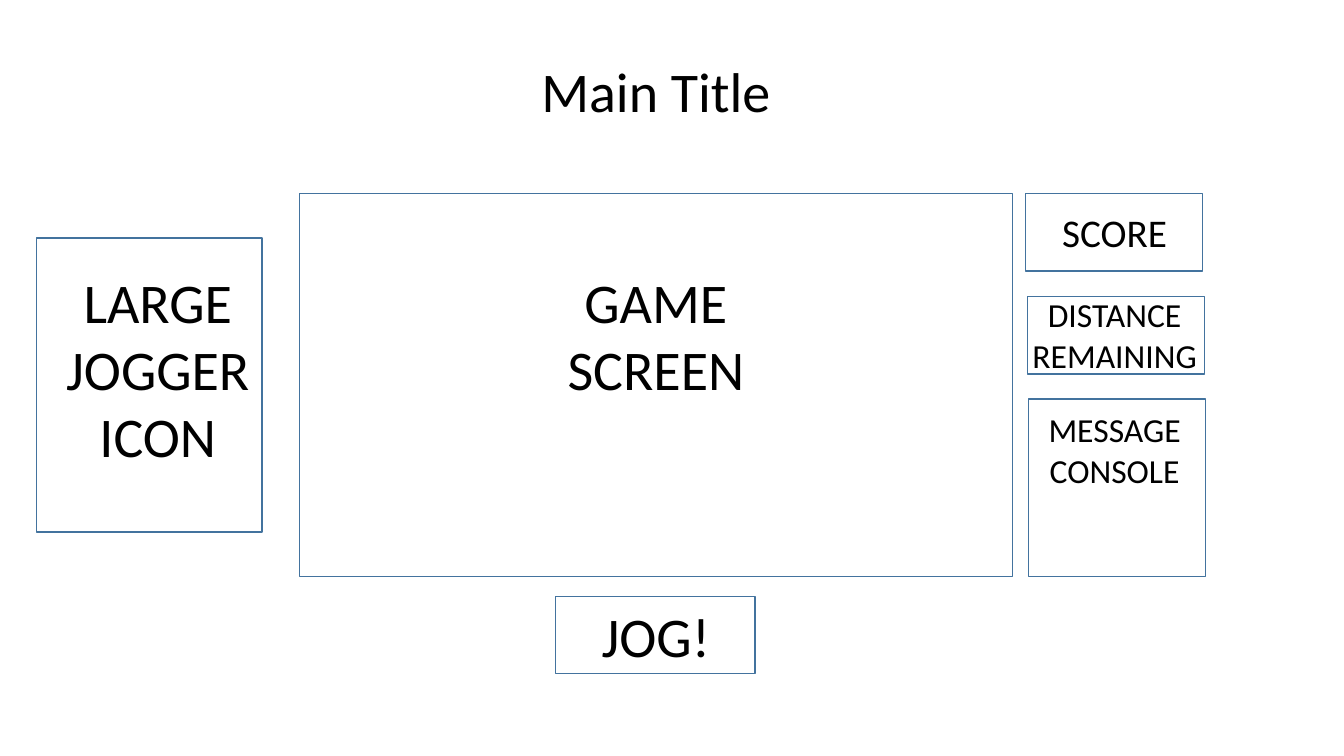
from pptx import Presentation
from pptx.dml.color import RGBColor
from pptx.enum.shapes import MSO_SHAPE
from pptx.enum.text import MSO_ANCHOR, MSO_AUTO_SIZE, PP_ALIGN
from pptx.util import Inches, Pt

COLORS = {"ink": "000000", "edge": "43739E"}


class Board:
    font = "Calibri"
    frame = {
        "word_wrap": True,
        "auto_size": MSO_AUTO_SIZE.SHAPE_TO_FIT_TEXT,
        "vertical_anchor": MSO_ANCHOR.TOP,
    }

    def __init__(self, deck):
        self.slide = deck.slides.add_slide(deck.slide_layouts[5])

    def color(self, name):
        return RGBColor.from_string(COLORS[name])

    def apply(self, item, style):
        for key, value in style.items():
            setattr(item, key, value)

    def box(self, left, top, width, height):
        area = map(Inches, (left, top, width, height))
        rect = self.slide.shapes.add_shape(MSO_SHAPE.RECTANGLE, *area)
        rect.shadow.inherit = False
        rect.fill.background()
        rect.line.color.rgb = self.color("edge")
        rect.line.width = Pt(1)

    def letter(self, shape, text, size):
        frame = shape.text_frame
        frame.text = text
        self.apply(frame, self.frame)
        for para in frame.paragraphs:
            para.alignment = PP_ALIGN.CENTER
            for run in para.runs:
                self.apply(run.font, {"name": self.font, "size": Pt(size)})
                run.font.color.rgb = self.color("ink")

    def title(self, text, left, top, width, height, size):
        head = self.slide.shapes.title
        names = ("left", "top", "width", "height")
        area = map(Inches, (left, top, width, height))
        self.apply(head, dict(zip(names, area)))
        self.letter(head, text, size)

    def label(self, text, left, top, width, height, size):
        area = map(Inches, (left, top, width, height))
        self.letter(self.slide.shapes.add_textbox(*area), text, size)


def main():
    deck = Presentation()
    deck.slide_width, deck.slide_height = Inches(13.33), Inches(7.5)
    board = Board(deck)

    boxes = [
        (2.97, 1.92, 7.07, 3.8),
        (5.51, 5.92, 1.98, 0.76),
        (10.17, 1.92, 1.76, 0.77),
        (0.36, 2.36, 2.24, 2.92),
        (10.19, 2.94, 1.76, 0.77),
        (10.2, 3.96, 1.76, 1.76),
    ]
    for area in boxes:
        board.box(*area)

    wide, mid, side = 2.81, 5.1, 9.65
    board.title("Main Title", mid, 0.51, wide, 0.77, 40)
    labels = [
        ("GAME\vSCREEN", mid, 2.6, 1.45, 40),
        ("JOG!", mid, 5.92, 0.77, 40),
        ("LARGE\vJOGGER\nICON", 0.16, 2.6, 2.12, 40),
        ("SCORE", side, 2.02, 0.57, 28),
        ("DISTANCE\nREMAINING", side, 2.87, 0.91, 24),
        ("MESSAGE\nCONSOLE", side, 4.01, 0.91, 24),
    ]
    for text, left, top, height, size in labels:
        board.label(text, left, top, wide, height, size)

    deck.save("out.pptx")


if __name__ == "__main__":
    main()
